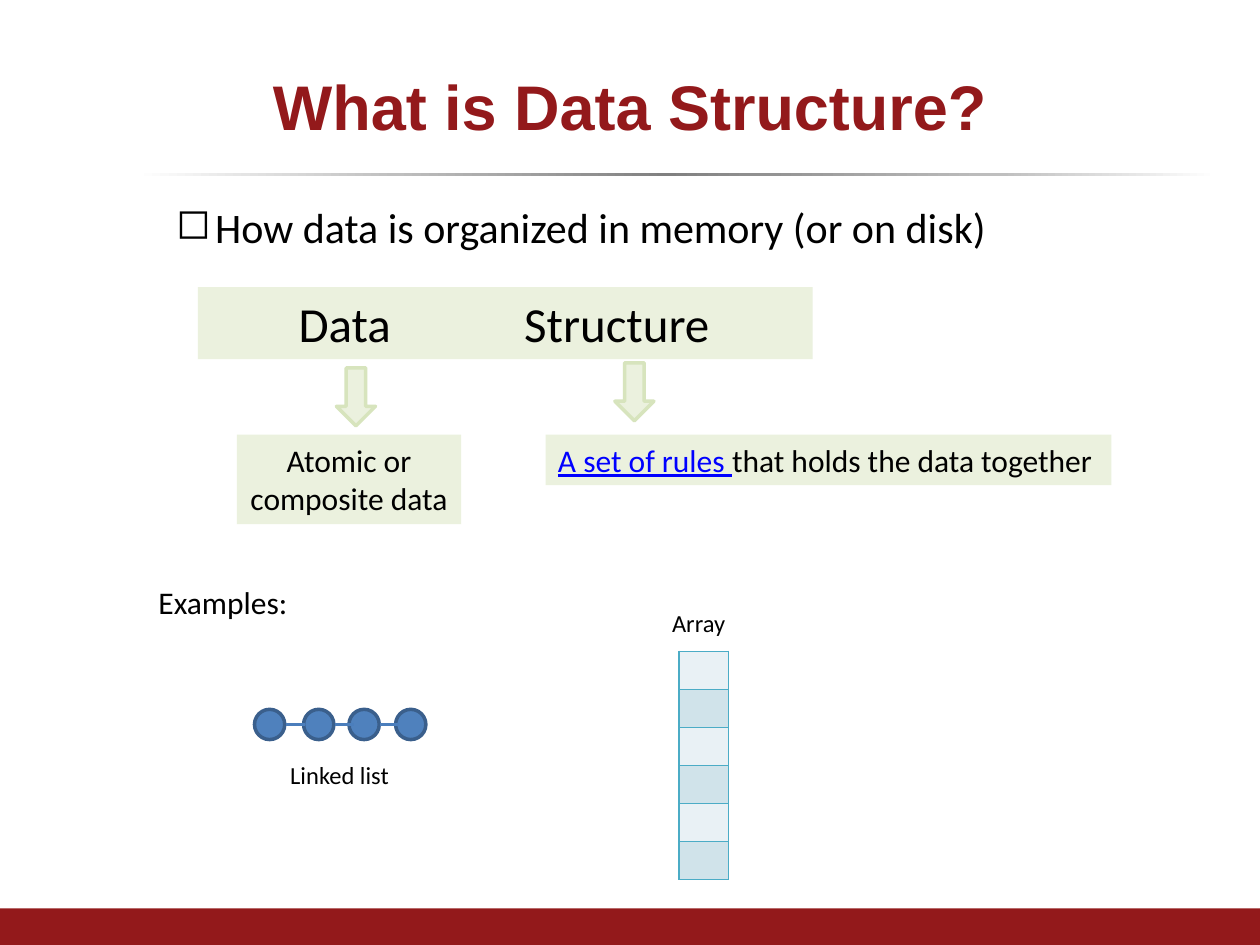
from dataclasses import dataclass
from lxml import etree
from pptx import Presentation
from pptx.dml.color import RGBColor
from pptx.enum.shapes import MSO_CONNECTOR, MSO_SHAPE
from pptx.enum.text import MSO_ANCHOR, PP_ALIGN
from pptx.oxml.ns import qn
from pptx.util import Inches, Pt

RECT, OVAL, DOWN = MSO_SHAPE.RECTANGLE, MSO_SHAPE.OVAL, MSO_SHAPE.DOWN_ARROW
LINE = MSO_CONNECTOR.STRAIGHT
LEFT, CENTER = PP_ALIGN.LEFT, PP_ALIGN.CENTER
TOP, MIDDLE = MSO_ANCHOR.TOP, MSO_ANCHOR.MIDDLE
COLS, ROWS = 100, 75


@dataclass(frozen=True)
class Theme:
    brand: str = "93191B"
    ink: str = "000000"
    link: str = "0000FF"
    panel: str = "EBF1DE"
    panel_edge: str = "D7E4BD"
    node: str = "4F81BD"
    node_edge: str = "3A5F8C"
    joint: str = "4B7EBC"
    grid: str = "4BACC6"
    bands: tuple = ("E9F1F5", "D0E3EA")
    fade: tuple = ((0, "FFFFFF"), (24, "BFBFBF"), (49, "808080"),
                   (80, "BFBFBF"), (100, "FFFFFF"))
    head_font: str = "Arial"
    body_font: str = "Calibri"
    title: int = 36
    big: int = 28
    bullet: int = 24
    body: int = 18
    label: int = 14


def rgb(value):
    return RGBColor.from_string(value)


def add_xml(parent, tag, **attrs):
    return etree.SubElement(parent, qn(tag), **attrs)


def add_solid(parent, color):
    add_xml(add_xml(parent, "a:solidFill"), "a:srgbClr", val=color)


def write(p, text, *, size, font, color, bold=False, underline=False):
    r = p.add_run()
    r.text = text
    r.font.size, r.font.name = Pt(size), font
    r.font.bold, r.font.underline = bold, underline
    r.font.color.rgb = rgb(color)


class Deck:
    def __init__(self, prs, theme):
        self.prs, self.theme = prs, theme
        self.s = prs.slides.add_slide(prs.slide_layouts[6])

    def x(self, cols):
        return round(self.prs.slide_width * cols / COLS)

    def y(self, rows):
        return round(self.prs.slide_height * rows / ROWS)

    def box(self, x, y, w, h):
        return self.x(x), self.y(y), self.x(w), self.y(h)

    def shape(self, kind, *at, fill, edge=None):
        sp = self.s.shapes.add_shape(kind, *self.box(*at))
        sp.shadow.inherit = False
        sp.fill.solid()
        sp.fill.fore_color.rgb = rgb(fill)
        if edge:
            sp.line.color.rgb = rgb(edge)
            sp.line.width = Pt(2)
        else:
            sp.line.fill.background()
        return sp

    def fade_rule(self, *at):
        sp = self.shape(RECT, *at, fill=self.theme.ink)
        sp.fill.gradient()
        sp.fill.gradient_angle = 0
        stops = sp._element.spPr.find(qn("a:gradFill")).find(qn("a:gsLst"))
        for stop in list(stops):
            stops.remove(stop)
        for share, color in self.theme.fade:
            gs = add_xml(stops, "a:gs", pos=str(share * 1000))
            add_xml(gs, "a:srgbClr", val=color)

    def text(self, runs, *at, size, fill=None, align=LEFT, anchor=TOP,
             inset=1, tab=None, bullet=None, **style):
        if fill:
            sp = self.shape(RECT, *at, fill=fill)
        else:
            sp = self.s.shapes.add_textbox(*self.box(*at))
        tf = sp.text_frame
        tf.word_wrap, tf.vertical_anchor = True, anchor
        tf.margin_left, tf.margin_right = self.x(inset), self.x(1)
        tf.margin_top = tf.margin_bottom = self.y(0.5)
        p = tf.paragraphs[0]
        p.alignment = align
        pPr = p._p.get_or_add_pPr()
        if bullet:
            pPr.set("marL", str(self.x(3.1)))
            pPr.set("indent", str(-self.x(3.1)))
            add_xml(pPr, "a:buChar", char=bullet)
        if tab:
            tabs = add_xml(pPr, "a:tabLst")
            add_xml(tabs, "a:tab", pos=str(self.x(tab)), algn="l")
        base = dict(size=size, font=self.theme.body_font, color=self.theme.ink)
        for words, extra in runs if isinstance(runs, list) else [(runs, {})]:
            write(p, words, **{**base, **style, **extra})

    def link(self, x, y, length):
        start, level = self.x(x), self.y(y)
        c = self.s.shapes.add_connector(
            LINE, start, level, start + self.x(length), level)
        c.line.color.rgb = rgb(self.theme.joint)
        c.line.width = Pt(2)
        add_xml(c._element.spPr, "a:effectLst")

    def array(self, count, *at):
        frame = self.s.shapes.add_table(count, 1, *self.box(*at))
        table = frame.table
        table.first_row = table.horz_banding = False
        for i, cell in enumerate(table.iter_cells()):
            cell.margin_top = cell.margin_bottom = 0
            add_xml(cell.text_frame.paragraphs[0]._p, "a:endParaRPr", sz="1200")
            tcPr = cell._tc.get_or_add_tcPr()
            for side in ("a:lnL", "a:lnR", "a:lnT", "a:lnB"):
                add_solid(add_xml(tcPr, side, w=str(Pt(1))), self.theme.grid)
            cell.fill.solid()
            cell.fill.fore_color.rgb = rgb(self.theme.bands[i % 2])


def main():
    prs = Presentation()
    prs.slide_width, prs.slide_height = Inches(10), Inches(7.5)
    t = Theme()
    d = Deck(prs, t)

    d.fade_rule(10.8, 13.7, 85.8, 0.3)
    d.shape(RECT, 0, 72.1, 100, 2.9, fill=t.brand)
    d.text("What is Data Structure?", 5, 3, 90, 10.7, size=t.title,
           font=t.head_font, color=t.brand, bold=True, align=CENTER,
           anchor=MIDDLE)
    d.text("How data is organized in memory (or on disk)",
           13, 15.5, 85.8, 42.1, size=t.bullet, bullet="◻")

    d.text("Data\tStructure", 15.7, 22.8, 48.8, 5.7, size=t.big,
           fill=t.panel, inset=8, tab=17.9)
    d.text("Atomic or composite data", 18.8, 34.5, 17.8, 7.1,
           size=t.body, fill=t.panel, align=CENTER)
    d.text([("A set of rules ", dict(color=t.link, underline=True)),
            ("that holds the data together", {})],
           43.3, 34.5, 44.9, 4, size=t.body, fill=t.panel)
    for x, y in ((26.7, 29.2), (48.8, 28.8)):
        d.shape(DOWN, x, y, 3.1, 4.6, fill=t.panel, edge=t.panel_edge)

    d.text("Examples:", 11.6, 45.8, 16.7, 4, size=t.body)
    nodes = (20.2, 24.1, 27.7, 31.4)
    for x in nodes:
        d.shape(OVAL, x, 56.3, 2.4, 2.4, fill=t.node, edge=t.node_edge)
    for x in nodes[:-1]:
        d.link(x + 2.5, 57.5, 1.5)
    d.text("Linked list", 20.2, 59.8, 13.5, 3.4, size=t.label, align=CENTER)

    d.array(6, 53.9, 51.7, 3.9, 18.1)
    d.text("Array", 48.7, 47.8, 13.5, 3.4, size=t.label, align=CENTER)
    prs.save("out.pptx")


if __name__ == "__main__":
    main()
